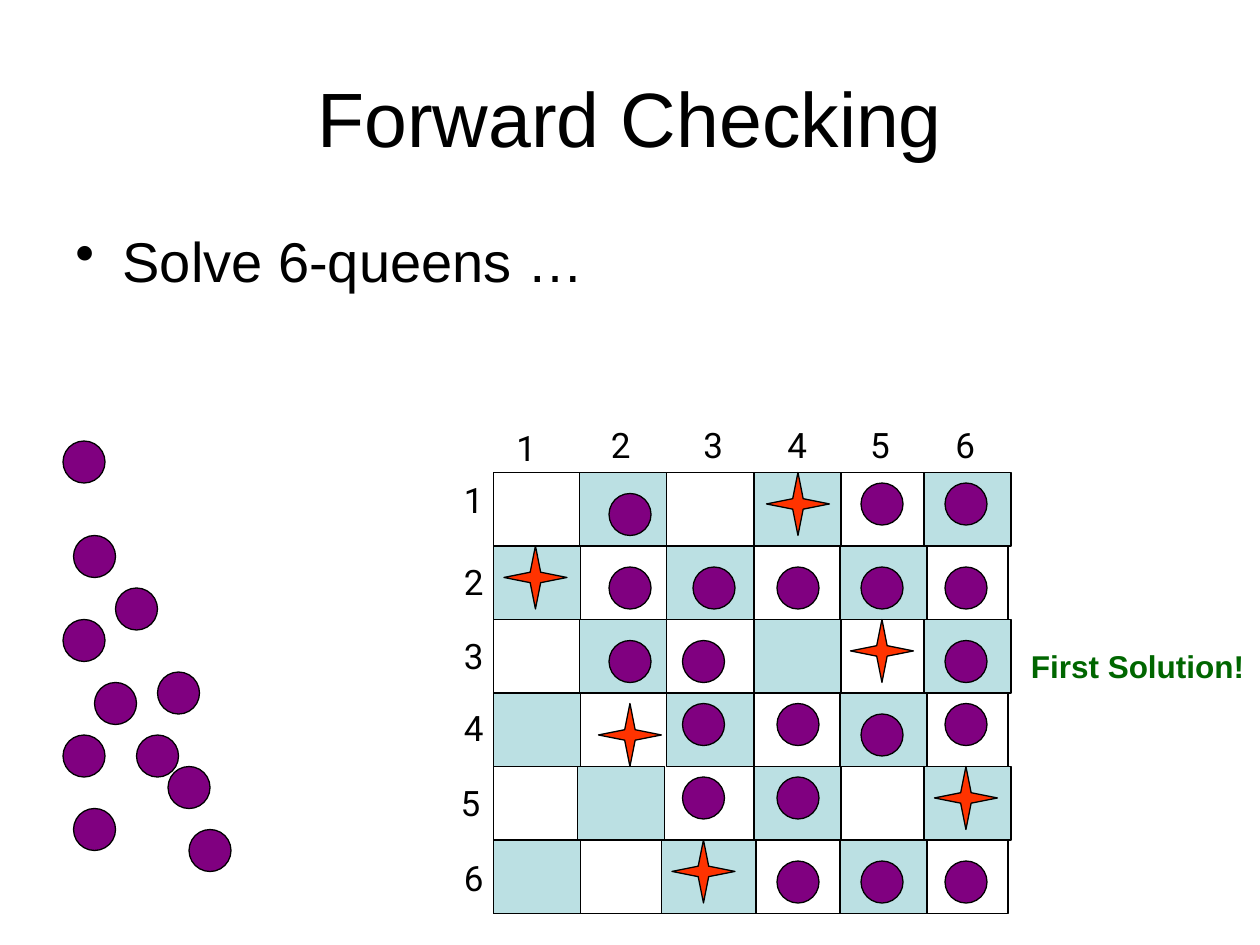
"""Build the Forward Checking slide with a solved 6-queens board."""
from dataclasses import dataclass

from lxml import etree
from pptx import Presentation, util as u
from pptx.dml.color import RGBColor
from pptx.enum import shapes, text
from pptx.oxml.ns import qn

PX = u.Inches(1) // 120


@dataclass(frozen=True)
class Theme:
    black: str = "000000"
    square: str = "BBE0E3"
    queen: str = "FF3300"
    pruned: str = "800080"
    solution: str = "006600"
    body_font: str = "Arial"
    label_font: str = "Roboto"
    title_size: int = 44
    body_size: int = 32
    label_size: int = 20
    solution_size: int = 18
    line_width: float = 0.75


THEME = Theme()


@dataclass(frozen=True)
class Box:
    left: int
    top: int
    width: int
    height: int

    def emu(self) -> list[int]:
        return [value * PX for value in (self.left, self.top, self.width, self.height)]


@dataclass(frozen=True)
class Label:
    words: str
    box: Box
    size: int
    font: str = THEME.body_font
    color: str = THEME.black
    bold: bool = False
    wrap: bool = True
    grow: bool = False
    space_before: float = 0
    align: text.PP_ALIGN = text.PP_ALIGN.LEFT
    anchor: text.MSO_ANCHOR = text.MSO_ANCHOR.TOP


ROW_TOPS = [450 + 70 * row for row in range(6)]
COLUMN_LEFTS = [470, 552, 635, 718, 800, 880]
SQUARE_WIDTH, SQUARE_HEIGHT = 83, 70
SHIFTED_SQUARES = {(4, 1): (550, 83), (5, 2): (630, 90)}
COLUMN_LABELS = [(480, 400), (570, 397), (658, 397), (738, 397), (817, 397), (898, 397)]
ROW_LABELS = [(430, 450), (430, 528), (430, 598), (430, 667), (427, 738), (430, 810)]
QUEENS = [(730, 450), (480, 520), (810, 590), (570, 670), (890, 730), (640, 800)]
PRUNED_BY_ROW = [
    [(580, 470), (820, 460), (900, 460)],
    [(580, 540), (660, 540), (740, 540), (820, 540), (900, 540)],
    [(580, 610), (650, 610), (900, 610)],
    [(650, 670), (740, 670), (820, 680), (900, 670)],
    [(650, 740), (740, 740)],
    [(740, 820), (820, 820), (900, 820)],
]
SPARE = [(60, 420), (70, 510), (110, 560), (60, 590), (90, 650), (150, 640),
         (60, 700), (130, 700), (160, 730), (70, 770), (180, 790)]
STAR_POINTS = [(0, 30), (25, 25), (30, 0), (35, 25),
               (60, 30), (35, 35), (30, 60), (25, 35)]


def style(shape, fill: str | None) -> None:
    shape.shadow.inherit = False
    if fill:
        shape.fill.solid()
        shape.fill.fore_color.rgb = RGBColor.from_string(fill)
    else:
        shape.fill.background()
    shape.line.color.rgb = RGBColor.from_string(THEME.black)
    shape.line.width = u.Pt(THEME.line_width)


def draw_shape(slide, kind: shapes.MSO_SHAPE, box: Box, fill: str | None) -> None:
    style(slide.shapes.add_shape(kind, *box.emu()), fill)


def draw_queen(slide, left: int, top: int) -> None:
    points = [(left + x, top + y) for x, y in STAR_POINTS]
    builder = slide.shapes.build_freeform(*points[0], scale=PX)
    builder.add_line_segments(points[1:], close=True)
    style(builder.convert_to_shape(), THEME.queen)


def draw_label(slide, label: Label):
    frame = slide.shapes.add_textbox(*label.box.emu()).text_frame
    frame.text = label.words
    frame.word_wrap = label.wrap
    frame.vertical_anchor = label.anchor
    if label.grow:
        frame.auto_size = text.MSO_AUTO_SIZE.SHAPE_TO_FIT_TEXT
    paragraph = frame.paragraphs[0]
    paragraph.alignment = label.align
    paragraph.space_before = u.Pt(label.space_before)
    font = paragraph.runs[0].font
    font.name, font.size, font.bold = label.font, u.Pt(label.size), label.bold
    font.color.rgb = RGBColor.from_string(label.color)
    return paragraph


def add_bullet(paragraph, indent: int) -> None:
    properties = paragraph._p.get_or_add_pPr()
    properties.set("marL", str(indent * PX))
    properties.set("indent", str(-indent * PX))
    etree.SubElement(properties, qn("a:buChar")).set("char", "•")


def draw_board(slide) -> None:
    rectangle = shapes.MSO_SHAPE.RECTANGLE
    draw_shape(slide, rectangle, Box(470, 450, 490, 420), None)
    for row, top in enumerate(ROW_TOPS):
        for column, left in enumerate(COLUMN_LEFTS):
            if (row + column) % 2:
                left, width = SHIFTED_SQUARES.get((row, column), (left, SQUARE_WIDTH))
                draw_shape(slide, rectangle, Box(left, top, width, SQUARE_HEIGHT), THEME.square)
    for places in (COLUMN_LABELS, ROW_LABELS):
        for number, (left, top) in enumerate(places, start=1):
            draw_label(slide, Label(str(number), Box(left, top, 43, 53), THEME.label_size,
                                    THEME.label_font, wrap=False, grow=True))


def main() -> None:
    presentation = Presentation()
    presentation.slide_width, presentation.slide_height = 1200 * PX, 900 * PX
    slide = presentation.slides.add_slide(presentation.slide_layouts[6])
    draw_label(slide, Label("Forward Checking", Box(60, 36, 1080, 150), THEME.title_size,
                            align=text.PP_ALIGN.CENTER, anchor=text.MSO_ANCHOR.MIDDLE))
    body = draw_label(slide, Label("Solve 6-queens …", Box(60, 210, 1080, 594),
                                   THEME.body_size, space_before=8))
    add_bullet(body, 45)
    draw_board(slide)
    for left, top in QUEENS:
        draw_queen(slide, left, top)
    for left, top in sum(PRUNED_BY_ROW, SPARE):
        draw_shape(slide, shapes.MSO_SHAPE.OVAL, Box(left, top, 40, 40), THEME.pruned)
    draw_label(slide, Label("First Solution!", Box(970, 610, 230, 48), THEME.solution_size,
                            color=THEME.solution, bold=True, grow=True, space_before=11.2))
    presentation.save("out.pptx")


if __name__ == "__main__":
    main()
